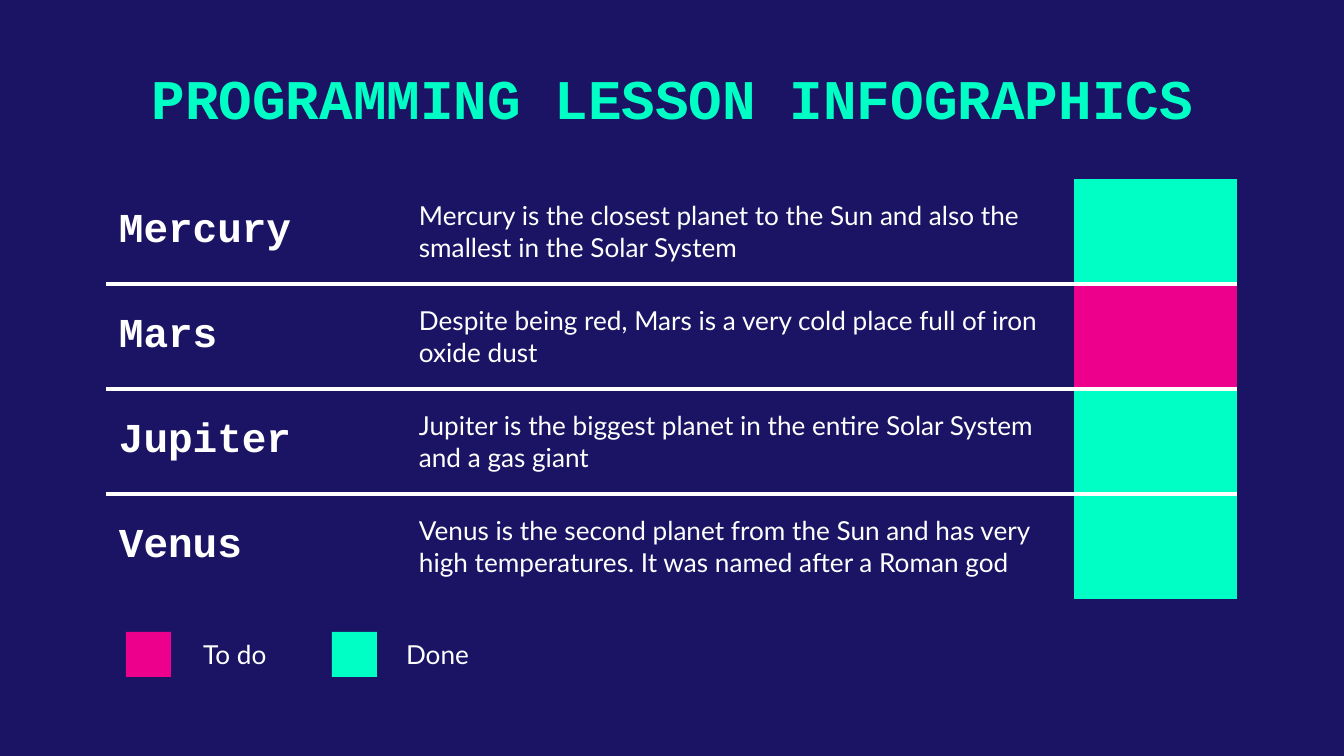
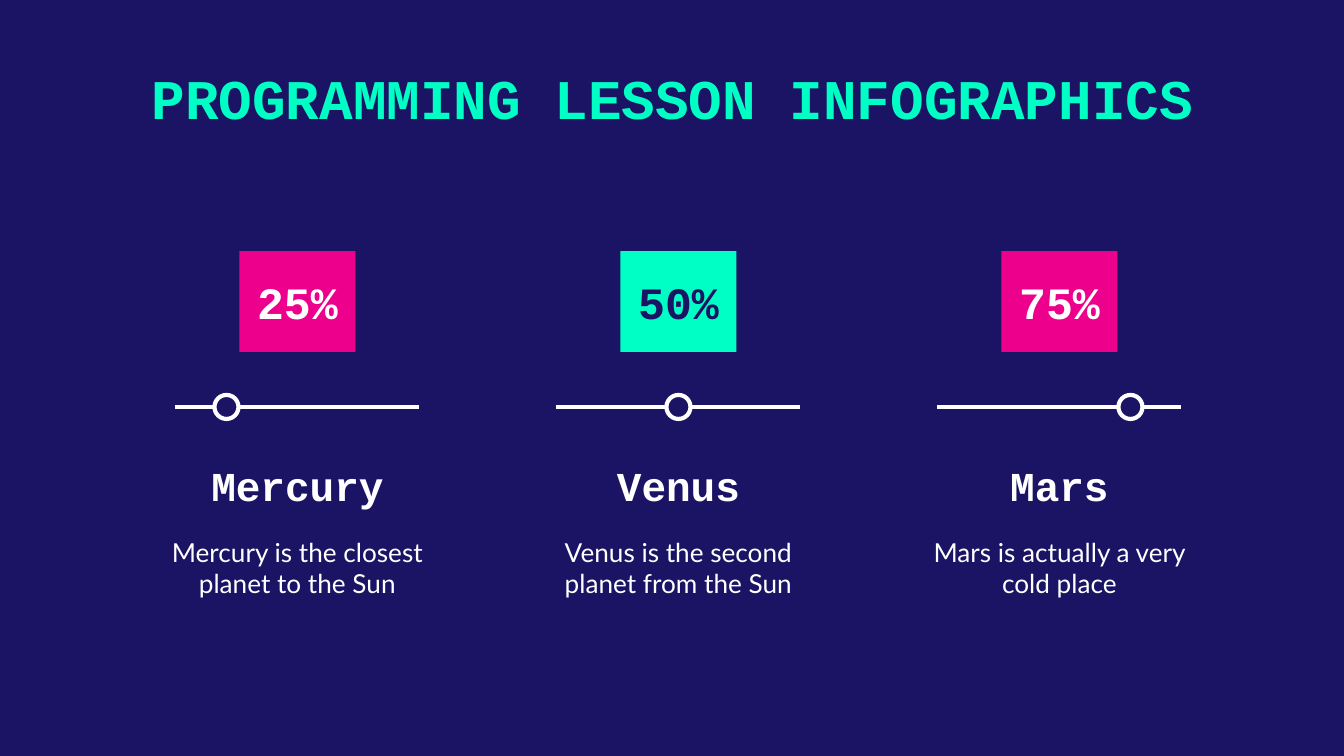
from lxml import etree
from pptx import Presentation
from pptx.dml.color import RGBColor
from pptx.enum.shapes import MSO_CONNECTOR, MSO_SHAPE
from pptx.enum.text import MSO_ANCHOR, PP_ALIGN
from pptx.oxml.ns import qn
from pptx.util import Emu, Pt

NAVY = RGBColor(0x1B, 0x14, 0x64)
MINT = RGBColor(0x00, 0xFF, 0xC5)
PINK = RGBColor(0xEC, 0x00, 0x8C)
WHITE = RGBColor(0xFF, 0xFF, 0xFF)

MONO, SANS = "Courier New", "Lato"
LEFT, CENTER = PP_ALIGN.LEFT, PP_ALIGN.CENTER
TOP, MIDDLE, BOTTOM = MSO_ANCHOR.TOP, MSO_ANCHOR.MIDDLE, MSO_ANCHOR.BOTTOM
RECT, OVAL, STRAIGHT = MSO_SHAPE.RECTANGLE, MSO_SHAPE.OVAL, MSO_CONNECTOR.STRAIGHT

PX_PER_INCH = 134.4
SLIDE_W, SLIDE_H = 1344, 756
PAD = 13
RULE = Pt(2.25)
PLAIN_TABLE = "{2D5ABB26-0587-4C30-8999-92F81FD0307C}"

HEADING = dict(font=MONO, size=22, bold=True)
TITLE = "PROGRAMMING LESSON INFOGRAPHICS"


def px(n):
    return Emu(round(n * 914400 / PX_PER_INCH))


def write(tf, text, font=SANS, size=14, color=WHITE, bold=False, align=LEFT):
    p = tf.paragraphs[0]
    p.alignment = align
    r = p.add_run()
    r.text = text
    r.font.name, r.font.size, r.font.bold = font, Pt(size), bold
    r.font.color.rgb = color


def set_frame(tf, anchor):
    tf.word_wrap = True
    tf.vertical_anchor = anchor
    tf.margin_left = tf.margin_right = tf.margin_top = tf.margin_bottom = px(PAD)


def add_text(shapes, x, y, w, h, text, anchor=TOP, **fmt):
    sp = shapes.add_textbox(px(x), px(y), px(w), px(h))
    set_frame(sp.text_frame, anchor)
    write(sp.text_frame, text, **fmt)


def add_block(shapes, kind, x, y, w, h, fill, line=None):
    sp = shapes.add_shape(kind, px(x), px(y), px(w), px(h))
    sp.shadow.inherit = False
    sp.fill.solid()
    sp.fill.fore_color.rgb = fill
    if line is None:
        sp.line.fill.background()
    else:
        sp.line.color.rgb = line
        sp.line.width = RULE
    return sp


def add_rule(shapes, x1, x2, y):
    cx = shapes.add_connector(STRAIGHT, px(x1), px(y), px(x2), px(y))
    cx.line.color.rgb = WHITE
    cx.line.width = RULE
    etree.SubElement(cx._element.spPr, qn("a:effectLst"))


def set_border(cell, side):
    ln = etree.Element(qn("a:" + side), w=str(RULE))
    fill = etree.SubElement(ln, qn("a:solidFill"))
    etree.SubElement(fill, qn("a:srgbClr"), val=str(WHITE))
    cell._tc.get_or_add_tcPr().insert(0, ln)


def add_titled_slide(prs):
    s = prs.slides.add_slide(prs.slide_layouts[6])
    add_text(s.shapes, 106, 51, 1133, 98, TITLE, font=MONO, size=30,
             color=MINT, bold=True, align=CENTER)
    return s


def status_table(s, x, y, col_widths, row_h, rows):
    frame = s.shapes.add_table(len(rows), len(col_widths), px(x), px(y),
                               px(sum(col_widths)), px(row_h * len(rows)))
    table = frame.table
    table.first_row = table.horz_banding = False
    table._tbl.tblPr.find(qn("a:tableStyleId")).text = PLAIN_TABLE
    for col, w in zip(table.columns, col_widths):
        col.width = px(w)

    for i, (name, description, status) in enumerate(rows):
        table.rows[i].height = px(row_h)
        name_cell, text_cell, status_cell = cells = table.rows[i].cells
        write(name_cell.text_frame, name, **HEADING)
        write(text_cell.text_frame, description)
        for cell in cells:
            cell.vertical_anchor = MIDDLE
            cell.margin_left = cell.margin_right = px(PAD)
            cell.margin_top = cell.margin_bottom = px(PAD)
            cell.fill.background()
            # Rules run only between rows
            if i < len(rows) - 1:
                set_border(cell, "lnB")
            if i > 0:
                set_border(cell, "lnT")
        status_cell.fill.solid()
        status_cell.fill.fore_color.rgb = status


def legend_item(s, x, y, color, label, label_dx):
    side = 45
    add_block(s.shapes, RECT, x, y, side, side, color)
    add_text(s.shapes, x + label_dx, y, 106, side, label, anchor=MIDDLE)


def progress_column(s, x, y, w, percent, fill, color, name, description):
    mid = x + w / 2
    group = s.shapes.add_group_shape().shapes
    # Planet name and description
    add_text(group, x, y + 200, w, 72, name, anchor=BOTTOM, align=CENTER, **HEADING)
    add_text(group, x, y + 272, w, 82, description, align=CENTER)
    # Percentage box
    box = add_block(group, RECT, mid - 58, y, 116, 101, fill)
    set_frame(box.text_frame, MIDDLE)
    write(box.text_frame, f"{percent}%", font=MONO, size=24, color=color,
          bold=True, align=CENTER)
    # Slider
    slider_y, knob = y + 156, 24
    knob_x = mid + (percent - 50) * 71 / 25
    add_rule(s.shapes, mid - 122, mid + 122, slider_y)
    add_block(s.shapes, OVAL, knob_x - knob / 2, slider_y - knob / 2,
              knob, knob, NAVY, line=WHITE)


def build_status_slide(prs):
    s = add_titled_slide(prs)
    status_table(s, 106, 179, [300, 668, 163], 105, [
        ("Mercury", "Mercury is the closest planet to the Sun and also the "
                    "smallest in the Solar System", MINT),
        ("Mars", "Despite being red, Mars is a very cold place full of iron "
                 "oxide dust", PINK),
        ("Jupiter", "Jupiter is the biggest planet in the entire Solar System "
                    "and a gas giant", MINT),
        ("Venus", "Venus is the second planet from the Sun and has very high "
                  "temperatures. It was named after a Roman god", MINT),
    ])
    legend_item(s, 126, 632, PINK, "To do", 64)
    legend_item(s, 332, 632, MINT, "Done", 61)


def build_progress_slide(prs):
    s = add_titled_slide(prs)
    planets = [
        (25, PINK, WHITE, "Mercury", "Mercury is the closest planet to the Sun"),
        (50, MINT, NAVY, "Venus", "Venus is the second planet from the Sun"),
        (75, PINK, WHITE, "Mars", "Mars is actually a very cold place"),
    ]
    for i, planet in enumerate(planets):
        progress_column(s, 136 + i * 381, 251, 323, *planet)


def main():
    prs = Presentation()
    prs.slide_width, prs.slide_height = px(SLIDE_W), px(SLIDE_H)
    background = prs.slide_master.background.fill
    background.solid()
    background.fore_color.rgb = NAVY
    build_status_slide(prs)
    build_progress_slide(prs)
    prs.save("out.pptx")


if __name__ == "__main__":
    main()
